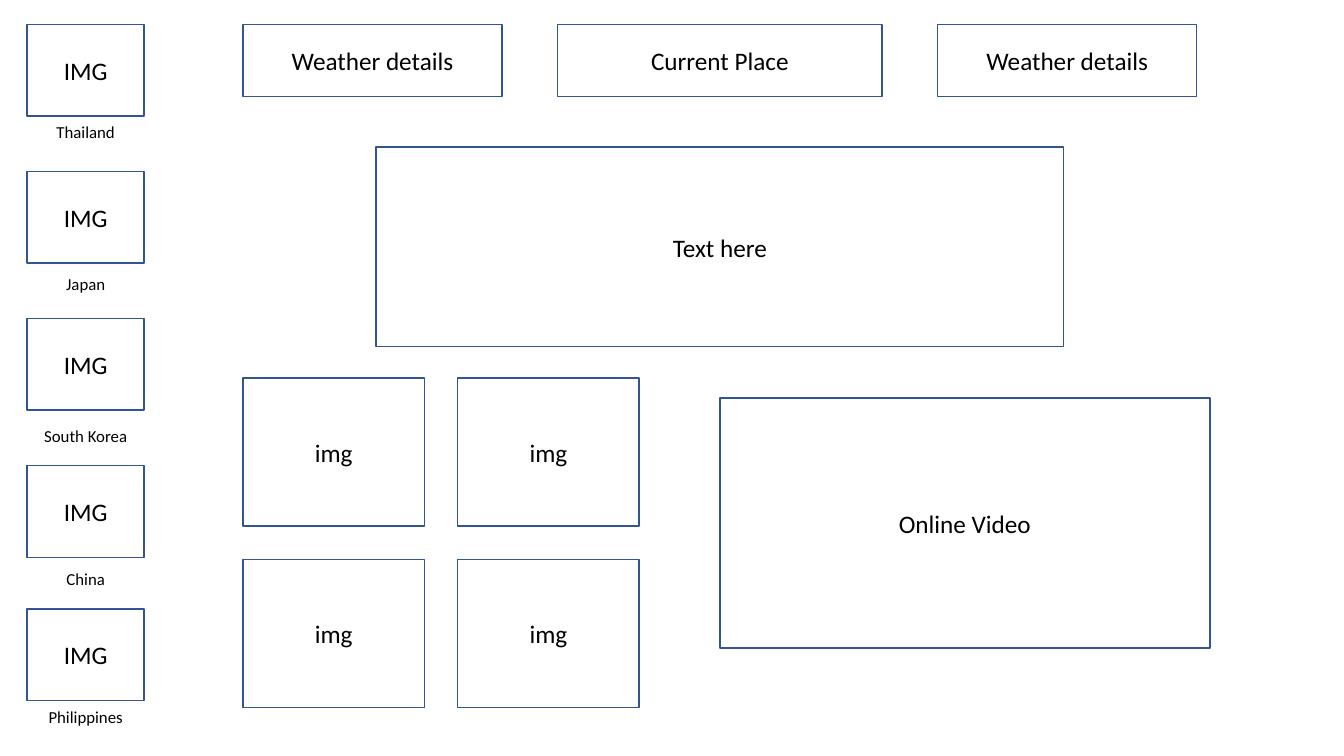
from pptx import Presentation
from pptx.dml.color import RGBColor
from pptx.enum.shapes import MSO_SHAPE as Shape
from pptx.enum.text import MSO_ANCHOR as Anchor, MSO_AUTO_SIZE as AutoSize, PP_ALIGN as Align
from pptx.util import Inches, Pt

presentation = Presentation()
presentation.slide_width = Inches(13.33)
presentation.slide_height = Inches(7.5)
slide = presentation.slides.add_slide(presentation.slide_layouts[6])


def write(shape, text, size, frame_format):
    frame = shape.text_frame
    for name, value in frame_format.items():
        setattr(frame, name, value)
    paragraph = frame.paragraphs[0]
    paragraph.alignment = Align.CENTER
    run = paragraph.add_run()
    run.text = text
    for name, value in {"name": "Calibri", "size": Pt(size)}.items():
        setattr(run.font, name, value)
    run.font.color.rgb = RGBColor.from_string("000000")


def add_box(text, left, top, width, height):
    box = slide.shapes.add_shape(Shape.RECTANGLE, *map(Inches, (left, top, width, height)))
    box.shadow.inherit = False
    box.fill.solid()
    box.fill.fore_color.rgb = RGBColor.from_string("FFFFFF")
    box.line.color.rgb = RGBColor.from_string("325491")
    box.line.width = Pt(1)
    write(box, text, 18, {"vertical_anchor": Anchor.MIDDLE, "word_wrap": True})


top_margin = 0.24
country_left, country_width, country_height = 0.27, 1.16, 0.91
country_center = country_left + country_width / 2
caption_height = 0.3
countries = [
    ("Thailand", top_margin, 1.16, 1.16),
    ("Japan", 1.7, 2.67, 0.92),
    ("South Korea", 3.16, 4.17, 1.3),
    ("China", 4.62, 5.59, 1.11),
    ("Philippines", 6.04, 6.96, 1.04),
]
for country, image_top, caption_top, caption_width in countries:
    add_box("IMG", country_left, image_top, country_width, country_height)
    caption_left = country_center - caption_width / 2
    caption = slide.shapes.add_textbox(
        *map(Inches, (caption_left, caption_top, caption_width, caption_height))
    )
    write(caption, country, 12, {"word_wrap": True, "auto_size": AutoSize.SHAPE_TO_FIT_TEXT})

content_left, header_height, header_gap = 2.41, 0.72, 0.55
header_left = content_left
for text, width in [("Weather details", 2.57), ("Current Place", 3.22), ("Weather details", 2.57)]:
    add_box(text, header_left, top_margin, width, header_height)
    header_left += width + header_gap

add_box("Text here", 3.73, 1.46, 6.82, 1.98)

gallery_top, photo_width, photo_height, photo_gap = 3.75, 1.8, 1.47, 0.33
for row in range(2):
    for column in range(2):
        photo_left = content_left + column * (photo_width + photo_gap)
        photo_top = gallery_top + row * (photo_height + photo_gap)
        add_box("img", photo_left, photo_top, photo_width, photo_height)

add_box("Online Video", 7.14, 3.95, 4.86, 2.48)

presentation.save("out.pptx")
